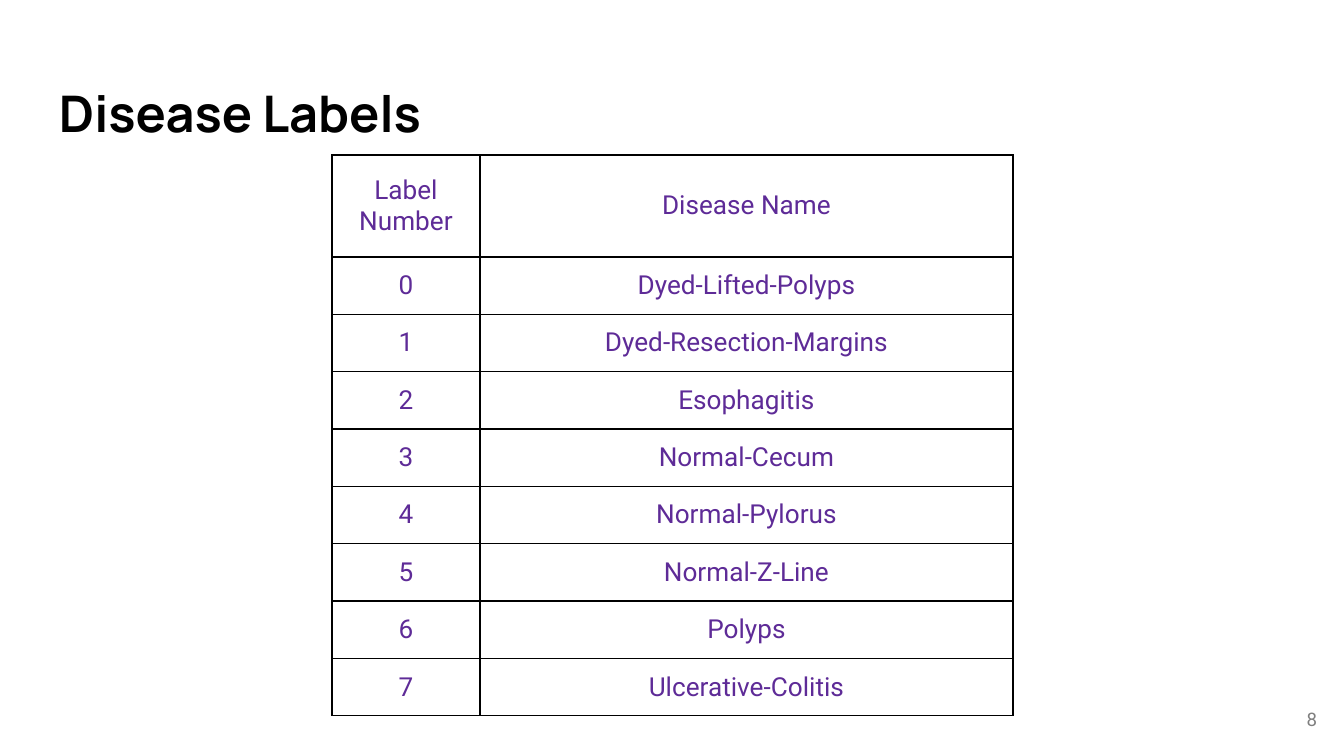
import pptx
import pptx.dml.color
import pptx.enum.text
import pptx.oxml
import pptx.oxml.ns
import pptx.util

EMU_PER_PX = 914400 / 134.4
INSET = 13
PURPLE = "5E2B97"
ALIGN = pptx.enum.text.PP_ALIGN
ANCHOR = pptx.enum.text.MSO_ANCHOR

COLUMN_WIDTHS = [148, 533]
HEADER_HEIGHT = 102
ROW_HEIGHT = 57
HEADINGS = ["Label Number", "Disease Name"]
DISEASES = [
    "Dyed-Lifted-Polyps",
    "Dyed-Resection-Margins",
    "Esophagitis",
    "Normal-Cecum",
    "Normal-Pylorus",
    "Normal-Z-Line",
    "Polyps",
    "Ulcerative-Colitis",
]


def px(length):
    return pptx.util.Emu(round(length * EMU_PER_PX))


def color(value):
    return pptx.dml.color.RGBColor.from_string(value)


def write(frame, text, *, size, fill, font="Roboto", bold=False, align=ALIGN.LEFT):
    para = frame.paragraphs[0]
    para.alignment = align
    span = para.add_run()
    span.text = text
    span.font.name = font
    span.font.size = pptx.util.Pt(size)
    span.font.bold = bold
    span.font.color.rgb = color(fill)


def set_margins(target):
    """Give a text frame or a table cell the same inset on each side."""
    target.margin_left = target.margin_right = px(INSET)
    target.margin_top = target.margin_bottom = px(INSET)


def add_text(page, text, left, top, width, height, *, anchor, **text_format):
    box = page.shapes.add_textbox(px(left), px(top), px(width), px(height))
    frame = box.text_frame
    frame.word_wrap = True
    frame.vertical_anchor = anchor
    set_margins(frame)
    write(frame, text, **text_format)


def add_borders(cell, line_color="000000", points=0.75):
    properties = cell._tc.get_or_add_tcPr()
    namespace = pptx.oxml.ns.nsdecls("a")
    for position, side in enumerate(("lnL", "lnR", "lnT", "lnB")):
        line = pptx.oxml.parse_xml(
            f'<a:{side} {namespace} w="{pptx.util.Pt(points)}">'
            f'<a:solidFill><a:srgbClr val="{line_color}"/></a:solidFill></a:{side}>'
        )
        properties.insert(position, line)


def fill_cell(cell, text):
    cell.fill.background()
    cell.vertical_anchor = ANCHOR.MIDDLE
    set_margins(cell)
    write(cell.text_frame, text, size=14, fill=PURPLE, align=ALIGN.CENTER)
    add_borders(cell)


def add_label_table(page, left, top):
    rows = [HEADINGS] + [[str(label), name] for label, name in enumerate(DISEASES)]
    heights = [HEADER_HEIGHT] + [ROW_HEIGHT] * len(DISEASES)
    table = page.shapes.add_table(
        len(rows), len(COLUMN_WIDTHS),
        px(left), px(top), px(sum(COLUMN_WIDTHS)), px(sum(heights)),
    ).table
    table.first_row = table.horz_banding = False
    for column, width in zip(table.columns, COLUMN_WIDTHS):
        column.width = px(width)
    for row, height, texts in zip(table.rows, heights, rows):
        row.height = px(height)
        for cell, text in zip(row.cells, texts):
            fill_cell(cell, text)


def main():
    deck = pptx.Presentation()
    deck.slide_width, deck.slide_height = px(1344), px(756)
    page = deck.slides.add_slide(deck.slide_layouts[6])
    page.background.fill.solid()
    page.background.fill.fore_color.rgb = color("FFFFFF")

    add_text(page, "Disease Labels", 46, 65, 1252, 91, anchor=ANCHOR.BOTTOM,
             size=27, fill="000000", font="Manrope", bold=True)
    add_label_table(page, 332, 155)
    add_text(page, "8", 1249, 690, 81, 58, anchor=ANCHOR.MIDDLE,
             size=10, fill="7F7F7F", align=ALIGN.RIGHT)
    deck.save("out.pptx")


if __name__ == "__main__":
    main()
